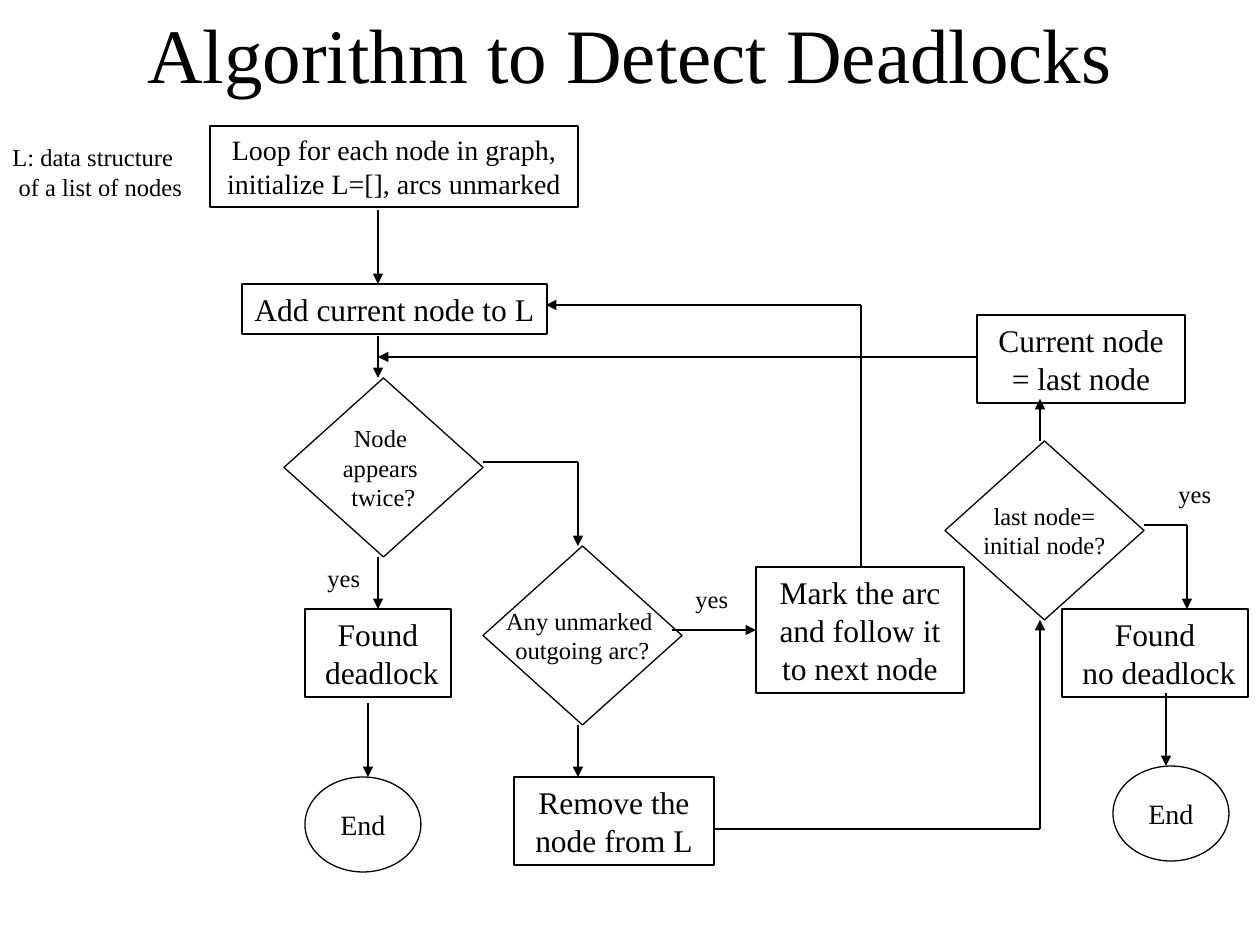
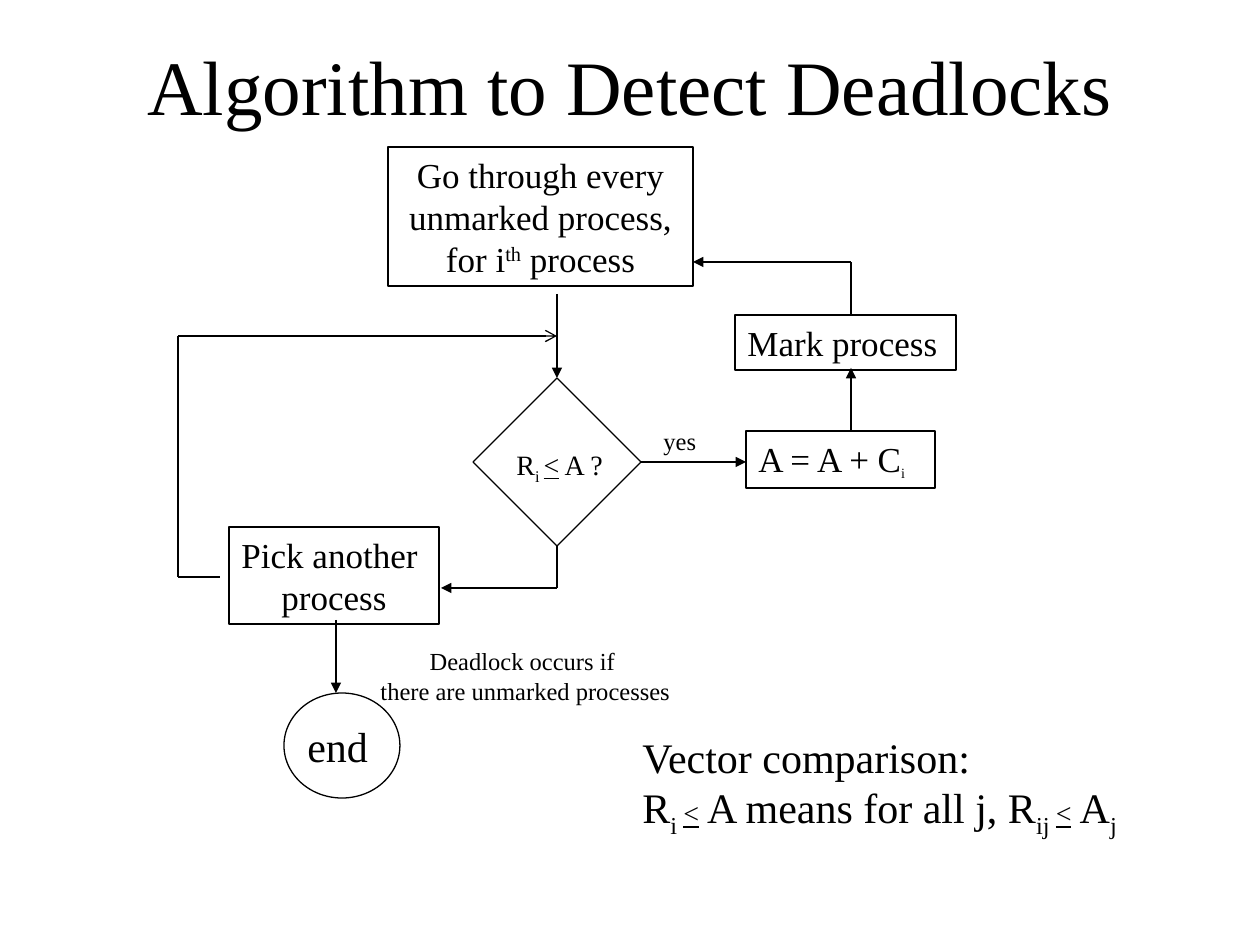
from lxml import etree
from pptx import Presentation
from pptx.dml.color import RGBColor
from pptx.enum.shapes import MSO_CONNECTOR, MSO_SHAPE
from pptx.enum.text import MSO_ANCHOR, MSO_AUTO_SIZE, PP_ALIGN
from pptx.oxml.ns import qn
from pptx.util import Emu, Pt

RECT, DIAMOND, OVAL = MSO_SHAPE.RECTANGLE, MSO_SHAPE.DIAMOND, MSO_SHAPE.OVAL
STRAIGHT = MSO_CONNECTOR.STRAIGHT
TOP, MIDDLE = MSO_ANCHOR.TOP, MSO_ANCHOR.MIDDLE
LEFT, CENTER = PP_ALIGN.LEFT, PP_ALIGN.CENTER
NO_AUTOSIZE = MSO_AUTO_SIZE.NONE

PX_PER_INCH = 126
FONT = "Times New Roman"
BLACK, WHITE = "000000", "FFFFFF"
LINE_WIDTH = Pt(0.75)
TITLE = "Algorithm to Detect Deadlocks"
SUB, SUP = -25000, 30000
DECISION = (199, 179)
END = (116, 95)
TWO_LINES = 88


def px(n):
    return Emu(round(n * 914400 / PX_PER_INCH))


def rgb(color):
    return RGBColor.from_string(color)


def write(shape, paragraphs, size, align, anchor, wrap):
    tf = shape.text_frame
    tf.auto_size = NO_AUTOSIZE
    tf.word_wrap = wrap
    tf.vertical_anchor = anchor
    for i, runs in enumerate(paragraphs):
        p = tf.add_paragraph() if i else tf.paragraphs[0]
        p.alignment = align
        p.font.size = Pt(size)
        p.font.name = FONT
        p.font.color.rgb = rgb(BLACK)
        for run in [runs] if isinstance(runs, str) else runs:
            text, style = (run, {}) if isinstance(run, str) else run
            r = p.add_run()
            r.text = text
            if "size" in style:
                r.font.size = Pt(style["size"])
            if "underline" in style:
                r.font.underline = True
            if "base" in style:
                r.font._element.set("baseline", str(style["base"]))


def add_title(s, x, y, w, h):
    title = s.shapes.title
    title.left, title.top, title.width, title.height = map(px, (x, y, w, h))
    write(title, [TITLE], 44, CENTER, MIDDLE, True)


class Region:
    def __init__(self, s, x, y):
        self.s, self.x, self.y = s, x, y

    def place(self, x, y):
        return px(self.x + x), px(self.y + y)

    def node(self, kind, x, y, w, h, paragraphs=(), size=18, align=CENTER,
             wrap=False, fill=None):
        sp = self.s.shapes.add_shape(kind, *self.place(x, y), px(w), px(h))
        sp.shadow.inherit = False
        if fill:
            sp.fill.solid()
            sp.fill.fore_color.rgb = rgb(fill)
        else:
            sp.fill.background()
        sp.line.color.rgb = rgb(BLACK)
        sp.line.width = LINE_WIDTH
        write(sp, paragraphs, size, align, MIDDLE, wrap)

    def label(self, x, y, w, h, paragraphs, size=14, align=LEFT, wrap=False):
        sp = self.s.shapes.add_textbox(*self.place(x, y), px(w), px(h))
        write(sp, paragraphs, size, align, TOP, wrap)

    def yes(self, x, y):
        self.label(x, y, 58, 43, ["yes"])

    def route(self, *points, head="triangle"):
        for i, (start, end) in enumerate(zip(points, points[1:]), 1):
            c = self.s.shapes.add_connector(
                STRAIGHT, *self.place(*start), *self.place(*end))
            c.line.color.rgb = rgb(BLACK)
            c.line.width = LINE_WIDTH
            if i == len(points) - 1:
                etree.SubElement(c.line._get_or_add_ln(), qn("a:tailEnd"), type=head)
            etree.SubElement(c._element.spPr, qn("a:effectLst"))


def node_loop(s, x, y):
    g = Region(s, x, y)
    g.label(0, 10, 195, 72, ["L: data structure", " of a list of nodes"])
    g.node(RECT, 210, 0, 368, 81,
           ["Loop for each node in graph, initialize L=[], arcs unmarked"], 16, wrap=True)
    g.node(RECT, 242, 158, 305, 50, ["Add current node to L"])
    g.node(DIAMOND, 284, 252, *DECISION, ["Node ", "appears ", "twice?"], 14)
    g.node(RECT, 305, 483, 146, TWO_LINES, ["Found", " deadlock"])
    g.node(OVAL, 305, 651, *END, ["End"], 16)
    for top, bottom in ((84, 158), (210, 252), (431, 483)):
        g.route((378, top), (378, bottom))
    g.route((368, 577), (368, 651))
    g.yes(315, 431)


def arc_search(s, x, y):
    g = Region(s, x, y)
    g.node(DIAMOND, 0, 84, *DECISION, ["Any unmarked ", "outgoing arc?"], 14)
    g.node(RECT, 273, 105, 208, 126, ["Mark the arc and follow it to next node"], wrap=True)
    g.node(RECT, 31, 315, 200, TWO_LINES, ["Remove the node from L"], wrap=True)
    g.route((0, 0), (95, 0), (95, 84))
    g.route((95, 263), (95, 315))
    g.route((189, 168), (273, 168))
    g.route((378, 105), (378, -157), (63, -157))
    g.yes(200, 116)


def backtracking(s, x, y):
    g = Region(s, x, y)
    g.node(RECT, 32, 0, 208, TWO_LINES, ["Current node = last node"], wrap=True)
    g.node(DIAMOND, 0, 126, *DECISION, ["last node=", "initial node?"], 14)
    g.node(RECT, 117, 294, 186, TWO_LINES, ["Found", " no deadlock"], fill=WHITE)
    g.node(OVAL, 168, 451, *END, ["End"], 16)
    g.route((-231, 514), (95, 514), (95, 305))
    g.route((95, 126), (95, 84))
    g.route((32, 42), (-567, 42))
    g.route((199, 210), (242, 210), (242, 294))
    g.route((221, 378), (221, 451))
    g.yes(221, 158)


def process_check(s, x, y):
    g = Region(s, x, y)
    g.node(RECT, 0, 0, 305, 139,
           [["Go through every unmarked process, for i", ("th", {"base": SUP}), " process"]],
           20, wrap=True)
    g.node(DIAMOND, 85, 231, 168, 168)
    g.label(116, 294, 126, 52,
            [["R", ("i ", {"base": SUB}), ("<", {"underline": True}), " A ?"]],
            16, wrap=True)
    g.route((169, 147), (169, 231))


def marking(s, x, y):
    g = Region(s, x, y)
    g.node(RECT, 94, 0, 221, 55, ["Mark process"], 20, LEFT, True)
    g.node(RECT, 105, 116, 189, 57,
           [["A = A + C", ("i", {"size": 14, "base": SUB})]], 20, LEFT, True)
    g.route((0, 147), (105, 147))
    g.route((210, 116), (210, 53))
    g.route((210, 0), (210, -53), (52, -53))
    g.yes(10, 105)


def next_process(s, x, y):
    g = Region(s, x, y)
    g.node(RECT, 51, 191, 210, 97, ["Pick another ", "process"], 20)
    g.node(OVAL, 106, 357, 116, 105)
    g.label(117, 378, 86, 63, ["end"], 24)
    g.label(190, 304, 315, 72,
            ["Deadlock occurs if ", "there are unmarked processes"], align=CENTER)
    g.route((379, 210), (379, 252), (263, 252))
    g.route((42, 241), (0, 241), (0, 0), (379, 0), head="arrow")
    g.route((158, 284), (158, 357))


def vector_note(s, x, y):
    low = {"base": SUB}
    less = ("<", {"size": 16, "underline": True})
    Region(s, x, y).label(0, 0, 588, 121, [
        "Vector comparison:",
        ["R", ("i ", low), less, " A means for all j, R", ("ij ", low), less, " A", ("j", low)],
    ], 24, wrap=True)


def main():
    prs = Presentation()
    prs.slide_width, prs.slide_height = px(1260), px(945)
    layout = prs.slide_layouts[5]

    s = prs.slides.add_slide(layout)
    add_title(s, 95, 32, 1070, 42)
    node_loop(s, 0, 126)
    arc_search(s, 483, 462)
    backtracking(s, 945, 315)

    s = prs.slides.add_slide(layout)
    add_title(s, 95, 32, 1070, 105)
    process_check(s, 388, 147)
    marking(s, 641, 315)
    next_process(s, 178, 336)
    vector_note(s, 630, 725)

    prs.save("out.pptx")


if __name__ == "__main__":
    main()
